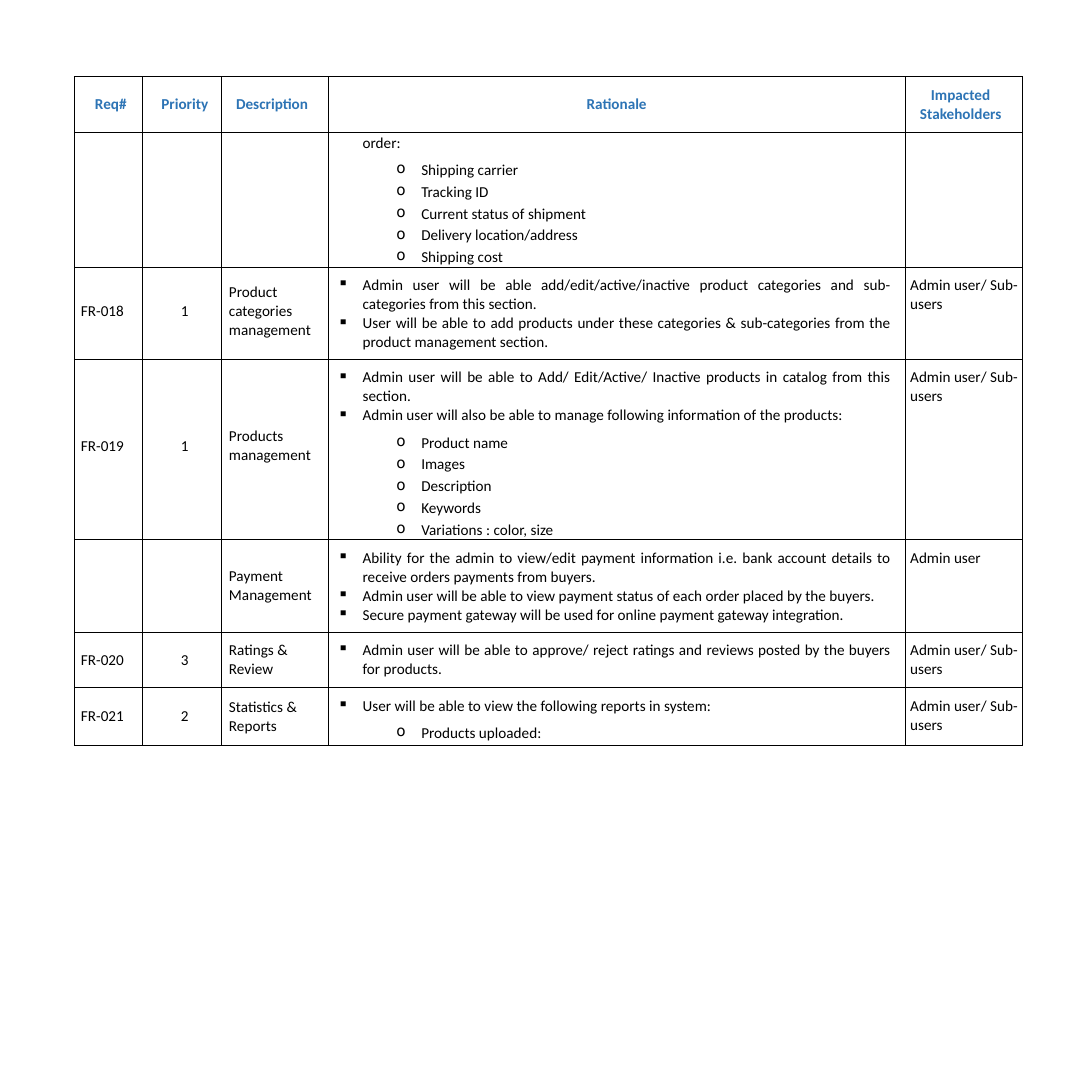
"""Build a slide with a table of functional requirements."""
from dataclasses import dataclass

from lxml.etree import SubElement
from pptx import Presentation
from pptx.dml.color import RGBColor
from pptx.enum.text import MSO_ANCHOR, PP_ALIGN
from pptx.oxml.ns import qn
from pptx.util import Cm, Pt


@dataclass(frozen=True)
class Theme:
    font: str = "Calibri"
    size: Pt = Pt(11)
    heading: RGBColor = RGBColor(0x2D, 0x74, 0xB5)
    text: RGBColor = RGBColor(0, 0, 0)
    fill: RGBColor = RGBColor(255, 255, 255)
    border: str = "000000"
    border_width: Pt = Pt(0.5)
    outer_width: Pt = Pt(1)
    line_spacing: float = 1.02


@dataclass(frozen=True)
class Style:
    left: float = 0
    indent: float = 0
    align: PP_ALIGN = PP_ALIGN.LEFT
    bullet: str = ""
    before: float = 0


@dataclass(frozen=True)
class Requirement:
    number: str
    priority: str
    description: str
    points: tuple
    subpoints: tuple
    stakeholders: str
    height: float
    lift: float = 0


THEME = Theme()
COLUMN_WIDTHS = (1.75, 2.01, 2.74, 14.76, 3)
HEADER_HEIGHT = 1.42
TOP_MARGIN = 0.22

HEADERS = (
    ("Req#", Style(left=0.53)),
    ("Priority", Style(left=0.15, align=PP_ALIGN.CENTER)),
    ("Description", Style(left=0.38)),
    ("Rationale", Style(align=PP_ALIGN.CENTER)),
    ("Impacted Stakeholders", Style(left=0.38, indent=0.28)),
)
NUMBER = Style(left=0.17)
PRIORITY = Style(left=0.15, align=PP_ALIGN.CENTER)
DESCRIPTION = Style(left=0.2)
STAKEHOLDER = Style(left=0.13)
CONTINUATION = Style(left=0.88)
POINT = Style(left=0.88, indent=-0.64, align=PP_ALIGN.JUSTIFY, bullet="▪")
FIRST_SUBPOINT = Style(left=2.38, indent=-0.64, bullet="o", before=6.2)
SUBPOINT = Style(left=2.38, indent=-0.64, bullet="o", before=2.2)

REQUIREMENTS = (
    Requirement(
        "", "", "", ("order:",),
        ("Shipping carrier", "Tracking ID", "Current status of shipment",
         "Delivery location/address", "Shipping cost"),
        "", 3.45),
    Requirement(
        "FR-018", "1", "Product categories management",
        ("Admin user will be able add/edit/active/inactive product categories "
         "and sub- categories from this section.",
         "User will be able to add products under these categories & "
         "sub-categories from the product management section."),
        (), "Admin user/ Sub-users", 2.36, 0.1),
    Requirement(
        "FR-019", "1", "Products management",
        ("Admin user will be able to Add/ Edit/Active/ Inactive products in "
         "catalog from this section.",
         "Admin user will also be able to manage following information of the "
         "products:"),
        ("Product name", "Images", "Description", "Keywords",
         "Variations : color, size"),
        "Admin user/ Sub-users", 4.62, 0.18),
    Requirement(
        "", "", "Payment Management",
        ("Ability for the admin to view/edit payment information i.e. bank "
         "account details to receive orders payments from buyers.",
         "Admin user will be able to view payment status of each order placed "
         "by the buyers.",
         "Secure payment gateway will be used for online payment gateway "
         "integration."),
        (), "Admin user", 2.36),
    Requirement(
        "FR-020", "3", "Ratings & Review",
        ("Admin user will be able to approve/ reject ratings and reviews "
         "posted by the buyers for products.",),
        (), "Admin user/ Sub-users", 1.42),
    Requirement(
        "FR-021", "2", "Statistics & Reports",
        ("User will be able to view the following reports in system:",),
        ("Products uploaded:",), "Admin user/ Sub-users", 1.47),
)


def format_paragraph(paragraph, style, heading):
    """Apply spacing, indents, bullet and font to a paragraph."""
    paragraph.alignment = style.align
    paragraph.space_before = Pt(style.before)
    paragraph.line_spacing = 1.0 if style.before else THEME.line_spacing
    properties = paragraph._p.get_or_add_pPr()
    properties.set("marL", str(Cm(style.left)))
    properties.set("indent", str(Cm(style.indent)))
    if style.bullet:
        SubElement(properties, qn("a:buChar"), char=style.bullet)
    for run in paragraph.runs:
        run.font.name = THEME.font
        run.font.size = THEME.size
        run.font.bold = heading
        run.font.color.rgb = THEME.heading if heading else THEME.text


def draw_borders(cell, heading):
    """Give a cell four thin borders, with a heavier top on headings."""
    properties = cell._tc.get_or_add_tcPr()
    for side in ("lnL", "lnR", "lnT", "lnB"):
        outer = heading and side == "lnT"
        width = THEME.outer_width if outer else THEME.border_width
        line = SubElement(properties, qn(f"a:{side}"), w=str(width))
        fill = SubElement(line, qn("a:solidFill"))
        SubElement(fill, qn("a:srgbClr"), val=THEME.border)


def fill_cell(cell, content, heading=False, top=None, right=0, bottom=0):
    """Write styled paragraphs; a cell without a top margin is centred."""
    draw_borders(cell, heading)
    cell.fill.solid()
    cell.fill.fore_color.rgb = THEME.fill
    cell.margin_left = Cm(0)
    cell.margin_top = Cm(top or 0)
    cell.margin_right = Cm(right)
    cell.margin_bottom = Cm(bottom)
    cell.vertical_anchor = MSO_ANCHOR.MIDDLE if top is None else MSO_ANCHOR.TOP
    cell.text_frame.text = "\n".join(text for text, _ in content)
    for paragraph, (_, style) in zip(cell.text_frame.paragraphs, content):
        format_paragraph(paragraph, style, heading)


def rationale_content(requirement):
    """Pair each rationale line with its style."""
    point_style = POINT if requirement.description else CONTINUATION
    content = [(text, point_style) for text in requirement.points]
    for index, text in enumerate(requirement.subpoints):
        content.append((text, SUBPOINT if index else FIRST_SUBPOINT))
    return content


def fill_requirement(row, requirement):
    """Fill one table row from a requirement."""
    number, priority, description, rationale, stakeholders = row.cells
    lift = requirement.lift
    fill_cell(number, [(requirement.number, NUMBER)], bottom=lift)
    fill_cell(priority, [(requirement.priority, PRIORITY)], bottom=lift)
    fill_cell(description, [(requirement.description, DESCRIPTION)],
              right=0.25, bottom=lift)
    fill_cell(rationale, rationale_content(requirement), right=0.36,
              top=TOP_MARGIN if requirement.description else 0.03)
    fill_cell(stakeholders, [(requirement.stakeholders, STAKEHOLDER)],
              top=TOP_MARGIN)


def add_requirements_table(slide):
    """Add the whole requirements table."""
    heights = [HEADER_HEIGHT] + [item.height for item in REQUIREMENTS]
    table = slide.shapes.add_table(
        len(heights), len(COLUMN_WIDTHS), Cm(1.9), Cm(1.96),
        Cm(sum(COLUMN_WIDTHS)), Cm(sum(heights))).table
    table.first_row = False
    table.horz_banding = False
    for column, width in zip(table.columns, COLUMN_WIDTHS):
        column.width = Cm(width)
    for row, height in zip(table.rows, heights):
        row.height = Cm(height)
    for cell, header in zip(table.rows[0].cells, HEADERS):
        fill_cell(cell, [header], heading=True)
    for index, requirement in enumerate(REQUIREMENTS, start=1):
        fill_requirement(table.rows[index], requirement)


def main():
    """Create and save the presentation."""
    presentation = Presentation()
    presentation.slide_width = presentation.slide_height = Cm(27.94)
    slide = presentation.slides.add_slide(presentation.slide_layouts[6])
    add_requirements_table(slide)
    presentation.save("out.pptx")


if __name__ == "__main__":
    main()
